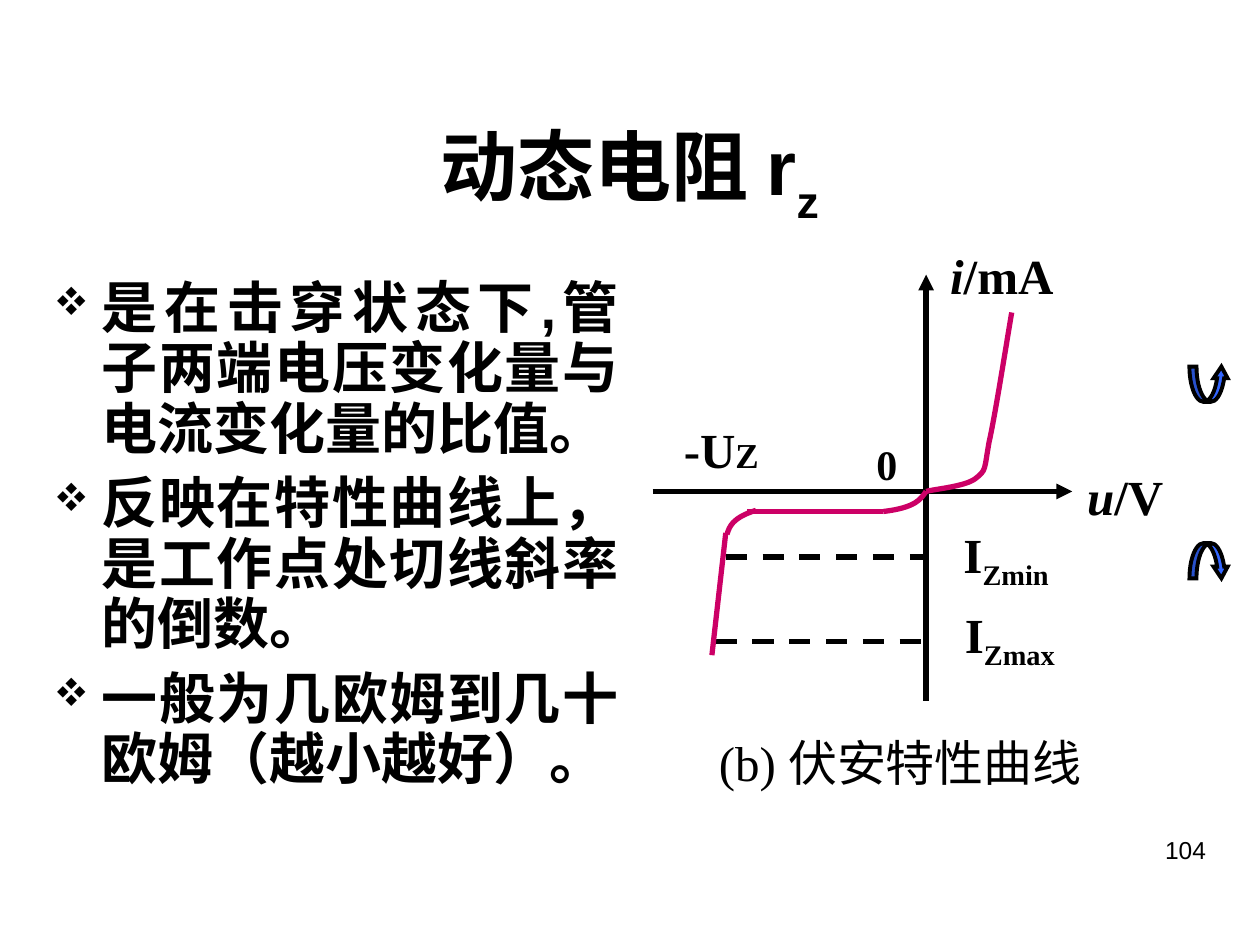
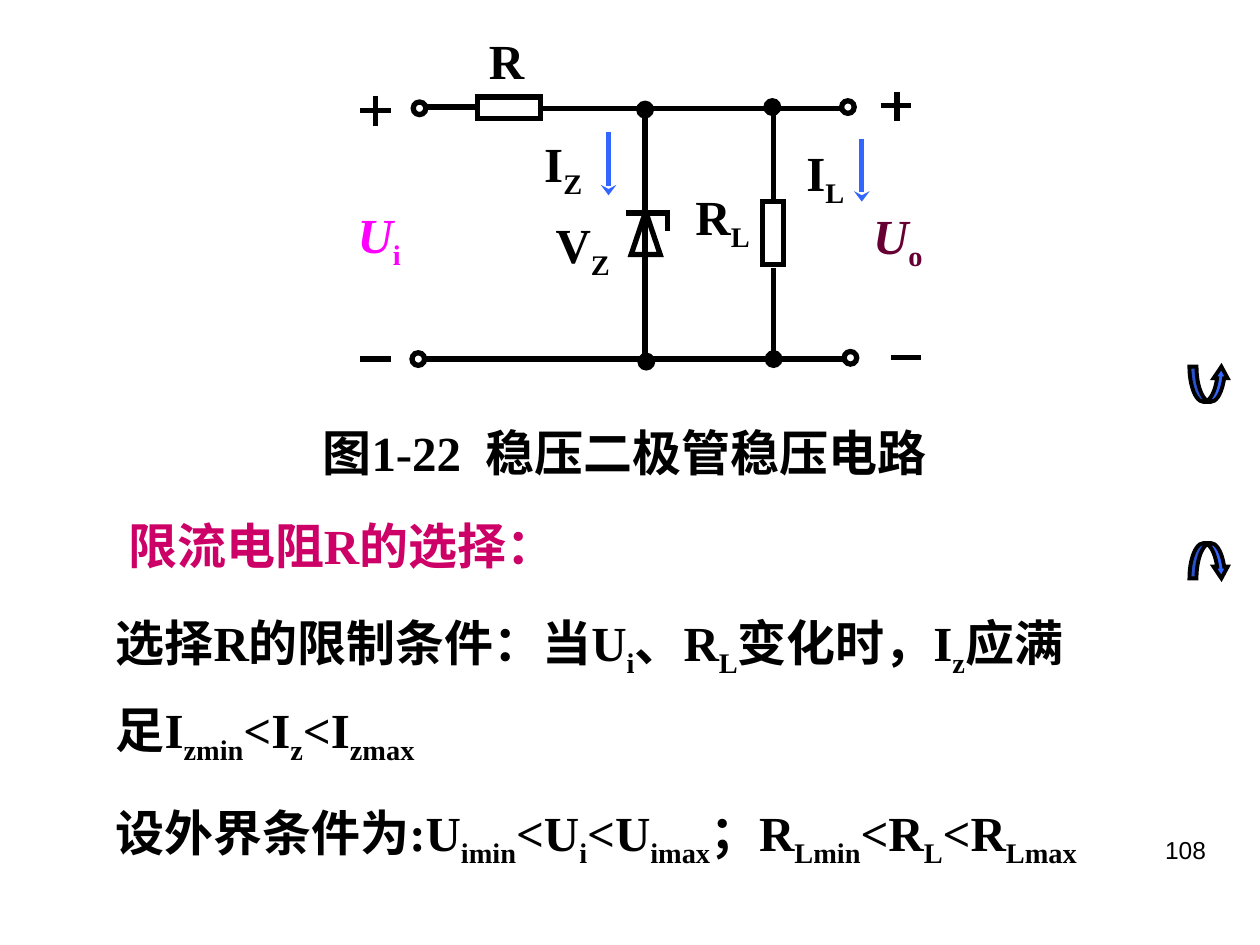
from lxml import etree
from pptx import Presentation
from pptx import util as u
from pptx.dml.color import RGBColor
from pptx.enum import dml, shapes, text
from pptx.oxml.ns import qn

PX = 9144  # EMU in one px, 100 px to the inch
COLORS = {"ink": "000000", "curve": "CC0066", "arrow": "3366FF",
          "input": "FF00FF", "output": "660033"}
SERIF, SANS = "Times New Roman", "Arial"
LEFT, CENTER, RIGHT, JUSTIFY = (text.PP_ALIGN.LEFT, text.PP_ALIGN.CENTER,
                                text.PP_ALIGN.RIGHT, text.PP_ALIGN.JUSTIFY)
KINDS = shapes.MSO_SHAPE
BULLETS = ["是在击穿状态下,管子两端电压变化量与电流变化量的比值。",
           "反映在特性曲线上，是工作点处切线斜率的倒数。",
           "一般为几欧姆到几十欧姆（越小越好）。"]


def px(*lengths):
    return [u.Emu(length * PX) for length in lengths]


def rgb(name):
    return RGBColor.from_string(COLORS[name])


def write(paragraph, markup, size=28, font=SERIF, color="ink", bold=True, align=CENTER,
          line_spacing=None, sub_base=-25, sub_size=None, sub_spacing=0):
    """Write markup in which |x| is a subscript and *x* is italic."""
    paragraph.alignment = align
    if line_spacing:
        paragraph.line_spacing = line_spacing
    for index, piece in enumerate(markup.split("|")):
        for part_index, part in enumerate(piece.split("*")):
            if not part:
                continue
            run = paragraph.add_run()
            run.text = part
            run.font.name, run.font.bold = font, bold
            run.font.italic = part_index % 2 == 1
            run.font.size = u.Pt(size)
            run.font.color.rgb = rgb(color)
            if index % 2:
                run.font.size = u.Pt(sub_size or size)
                properties = run._r.get_or_add_rPr()
                if sub_base:
                    properties.set("baseline", str(sub_base * 1000))
                if sub_spacing:
                    properties.set("spc", str(sub_spacing * 100))


def add_text(slide, box, markup, wrap=True, grow=True, anchor=text.MSO_ANCHOR.TOP,
             **formatting):
    frame = slide.shapes.add_textbox(*px(*box)).text_frame
    frame.word_wrap = wrap
    if grow:
        frame.auto_size = text.MSO_AUTO_SIZE.SHAPE_TO_FIT_TEXT
    frame.vertical_anchor = anchor
    write(frame.paragraphs[0], markup, **formatting)
    return frame


def add_label(slide, box, markup, **formatting):
    """A one-line text centred in its box, with no side margins."""
    frame = add_text(slide, box, markup, wrap=False, anchor=text.MSO_ANCHOR.MIDDLE,
                     **formatting)
    frame.margin_left = frame.margin_right = 0


def add_bullets(slide, box, items):
    frame = slide.shapes.add_textbox(*px(*box)).text_frame
    frame.word_wrap = True
    for index, item in enumerate(items):
        paragraph = frame.add_paragraph() if index else frame.paragraphs[0]
        properties = paragraph._p.get_or_add_pPr()
        indent = px(38)[0]
        properties.set("marL", str(indent))
        properties.set("indent", str(-indent))
        color = etree.SubElement(properties, qn("a:buClr"))
        etree.SubElement(color, qn("a:srgbClr"), val=COLORS["ink"])
        etree.SubElement(properties, qn("a:buSzPct"), val="70000")
        etree.SubElement(properties, qn("a:buFont"), typeface="Wingdings", charset="2")
        etree.SubElement(properties, qn("a:buChar"), char="v")
        if index:
            paragraph.space_before = u.Pt(8)
        write(paragraph, item, size=32, font=SANS, align=JUSTIFY, line_spacing=0.9)


def add_line(slide, x1, y1, x2, y2, color="ink", dashed=False, head=None, head_length="med"):
    connector = slide.shapes.add_connector(shapes.MSO_CONNECTOR.STRAIGHT, *px(x1, y1, x2, y2))
    connector.line.color.rgb = rgb(color)
    connector.line.width = u.Pt(3)
    if dashed:
        connector.line.dash_style = dml.MSO_LINE.DASH
    properties = connector._element.spPr
    if head:
        etree.SubElement(properties.find(qn("a:ln")), qn("a:tailEnd"), type=head,
                         w="med", len=head_length)
    etree.SubElement(properties, qn("a:effectLst"))


def style_shape(shape, fill=None, width=3, color="ink"):
    shape.shadow.inherit = False
    if fill:
        shape.fill.solid()
        shape.fill.fore_color.rgb = rgb(fill)
    else:
        shape.fill.background()
    shape.line.color.rgb = rgb(color)
    shape.line.width = u.Pt(width)
    outline = shape._element.spPr.find(qn("a:ln"))
    etree.SubElement(outline, qn("a:miter"), lim="800000")


def add_part(slide, kind, box, fill=None, width=3):
    shape = slide.shapes.add_shape(kind, *px(*box))
    style_shape(shape, fill, width)
    return shape


def add_curve(slide, start, *segments):
    """Draw cubic curves, each given by two control points and an end point."""
    builder = slide.shapes.build_freeform(*px(*start), scale=1.0)
    builder.add_line_segments([px(*point) for segment in segments for point in segment],
                              close=False)
    shape = builder.convert_to_shape()
    style_shape(shape, color="curve")
    lines = list(shape._element.iter(qn("a:lnTo")))
    outline = lines[0].getparent()
    for index, line in enumerate(lines):
        if index % 3 == 0:
            cubic = etree.SubElement(outline, qn("a:cubicBezTo"))
        cubic.append(line[0])
        outline.remove(line)


def add_page_marks(slide, number):
    """The two curved arrows at the right edge and the page number."""
    for kind, top in ((KINDS.CURVED_DOWN_ARROW, 431), (KINDS.CURVED_UP_ARROW, 291)):
        arrow = add_part(slide, kind, (944, top, 31, 28), fill="arrow", width=2.25)
        for index, value in enumerate((0.2, 0.4, 0.33)):
            arrow.adjustments[index] = value
    add_text(slide, (717, 658, 250, 52), number, grow=False,
             size=14, font=SANS, bold=False, align=RIGHT)


def build_resistance_slide(presentation):
    slide = presentation.slides.add_slide(presentation.slide_layouts[5])
    add_page_marks(slide, "104")
    title = slide.shapes.title
    title.left, title.top, title.width, title.height = px(33, 104, 934, 67)
    title.text_frame.vertical_anchor = text.MSO_ANCHOR.MIDDLE
    write(title.text_frame.paragraphs[0], "动态电阻 r|z|", size=44, font=SANS, sub_base=-30)
    add_bullets(slide, (33, 217, 468, 425), BULLETS)

    # Axes and current limits
    add_line(slide, 518, 390, 851, 390, head="triangle")
    add_line(slide, 735, 556, 735, 218, head="triangle")
    for x, y in ((576, 442), (568, 509)):
        add_line(slide, x, y, 735, y, dashed=True)

    # Characteristic curve, from forward to breakdown
    add_curve(slide, (803, 248), [(800, 265), (790, 329), (785, 351)],
              [(781, 373), (783, 373), (774, 380)], [(766, 386), (743, 388), (735, 390)])
    add_curve(slide, (735, 390), [(731, 396), (727, 403), (701, 406)])
    add_line(slide, 701, 406, 593, 406, color="curve")
    add_curve(slide, (577, 424), [(579, 418), (581, 411), (600, 405)])
    add_line(slide, 576, 423, 565, 520, color="curve")

    # Labels
    add_label(slide, (744, 190, 102, 57), "*i*/mA")
    add_label(slide, (853, 365, 80, 57), "*u*/V")
    add_label(slide, (686, 343, 36, 50), "0", size=24)
    add_label(slide, (533, 328, 79, 57), "-U|Z|", sub_base=0, sub_size=20)
    add_label(slide, (755, 411, 87, 63), "I|Zmin|")
    add_label(slide, (756, 475, 91, 63), "I|Zmax|")
    add_label(slide, (556, 576, 317, 57), "(b) 伏安特性曲线", bold=False)


def build_circuit_slide(presentation):
    slide = presentation.slides.add_slide(presentation.slide_layouts[6])
    add_page_marks(slide, "108")

    # Wires, Zener cathode, and polarity signs
    wires = [(429, 86, 670, 86), (337, 285, 670, 285), (379, 85, 337, 85),
             (512, 285, 512, 160), (512, 160, 512, 85),
             (614, 160, 614, 85), (614, 213, 614, 285)]
    cathode = [(528, 169, 497, 169), (530, 183, 530, 167)]
    signs = [(699, 84, 723, 84), (712, 73, 712, 96), (707, 284, 731, 284),
             (286, 88, 310, 88), (298, 76, 298, 100), (286, 285, 310, 285)]
    for ends in wires + cathode + signs:
        add_line(slide, *ends)
    for x, y in ((684, 110), (483, 105)):
        add_line(slide, x, y, x, y + 50, color="arrow", head="stealth", head_length="sm")

    # Resistors, diode, terminals and junctions
    add_part(slide, KINDS.RECTANGLE, (379, 77, 50, 17))
    add_part(slide, KINDS.RECTANGLE, (605, 160, 17, 50))
    add_part(slide, KINDS.ISOSCELES_TRIANGLE, (501, 168, 23, 34))
    for x, y in ((670, 279), (668, 80), (327, 280), (328, 81)):
        add_part(slide, KINDS.OVAL, (x, y, 10, 10))
    for x, y in ((508, 282), (609, 280), (507, 82), (608, 80)):
        add_part(slide, KINDS.OVAL, (x, y, 10, 10), fill="ink")

    # Labels and caption
    add_label(slide, (378, 19, 48, 57), "R")
    add_label(slide, (630, 108, 50, 63), "I|L|")
    add_label(slide, (422, 101, 50, 63), "I|Z|")
    add_label(slide, (431, 165, 63, 63), "V|Z|")
    add_label(slide, (542, 143, 63, 63), "R|L|")
    add_label(slide, (274, 157, 54, 63), "*U*|i|", color="input")
    add_label(slide, (683, 158, 59, 63), "*U*|o|", color="output")
    add_label(slide, (237, 330, 517, 57), "图1-22| |稳压二极管稳压电路",
              sub_base=0, sub_spacing=7)

    # Conditions on the series resistor
    notes = dict(align=LEFT, line_spacing=1.3)
    add_text(slide, (92, 390, 386, 71), "限流电阻R的选择：", wrap=False, color="curve", **notes)
    add_text(slide, (82, 465, 807, 148),
             "选择R的限制条件：当U|i|、R|L|变化时，I|z|应满足I|zmin|<I|z|<I|zmax|", **notes)
    add_text(slide, (82, 616, 832, 79),
             "设外界条件为:U|imin|<U|i|<U|imax|；R|Lmin|<R|L|<R|Lmax|", **notes)


def main():
    presentation = Presentation()
    presentation.slide_width, presentation.slide_height = px(1000, 750)
    build_resistance_slide(presentation)
    build_circuit_slide(presentation)
    presentation.save("out.pptx")


if __name__ == "__main__":
    main()
